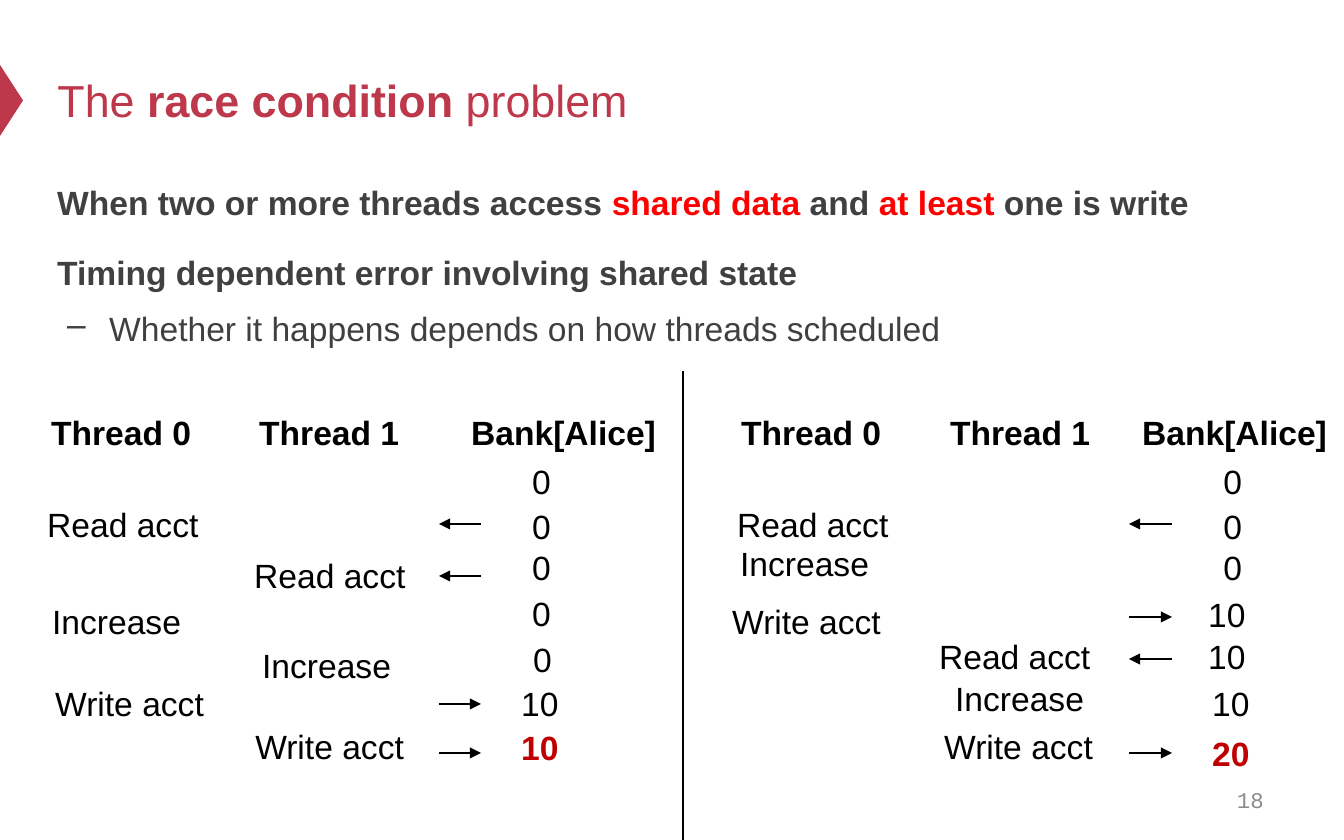
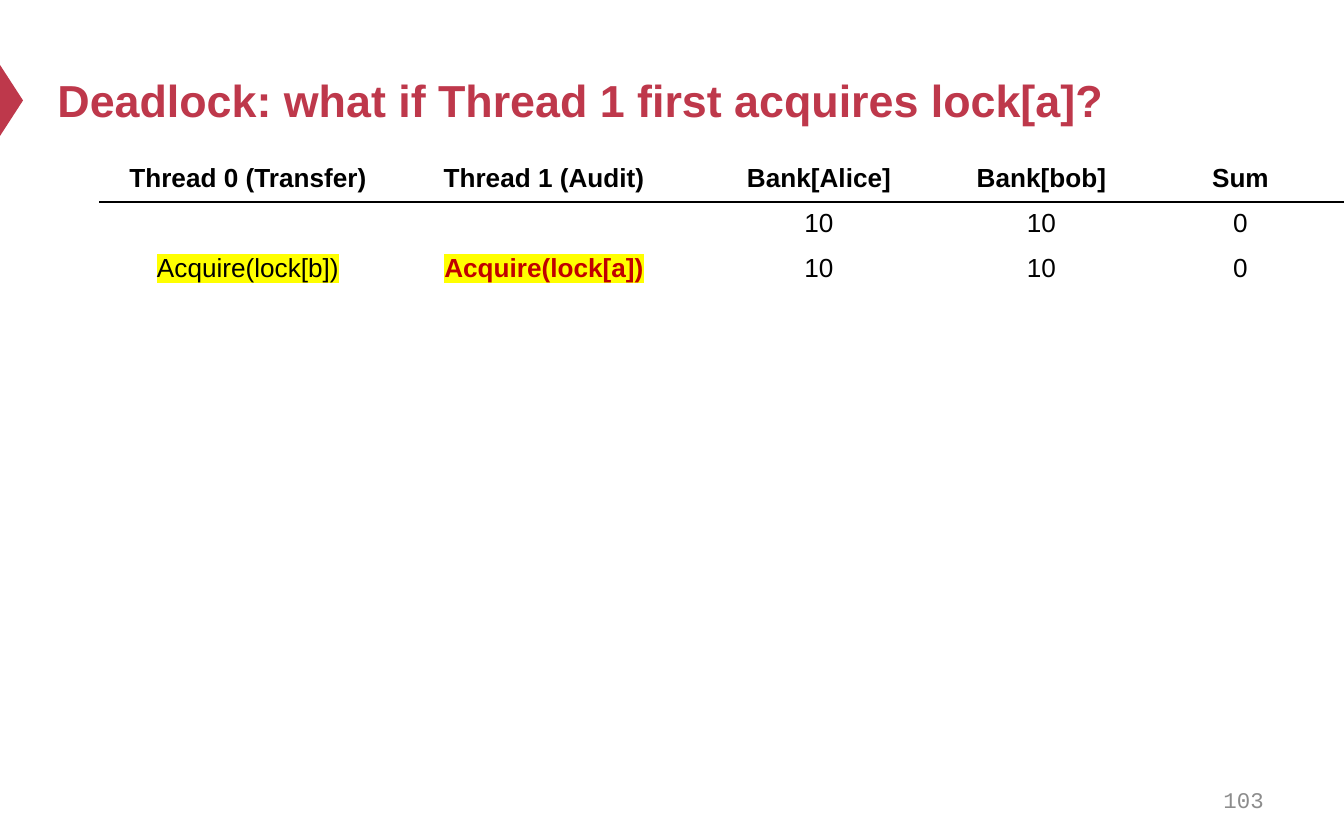
from dataclasses import dataclass

from lxml.etree import SubElement
from pptx import Presentation
from pptx.dml.color import RGBColor
from pptx.enum.shapes import MSO_CONNECTOR as CONN, MSO_SHAPE as SHAPE
from pptx.enum.text import MSO_ANCHOR as ANCHOR, MSO_AUTO_SIZE as FIT, PP_ALIGN as ALIGN
from pptx.oxml.ns import qn
from pptx.util import Emu, Pt


@dataclass(frozen=True)
class Theme:
    accent: str = "BE384B"
    body: str = "404040"
    black: str = "000000"
    white: str = "FFFFFF"
    alert: str = "FF0000"
    result: str = "C00000"
    marker: str = "FFFF00"
    muted: str = "8C8C8C"
    font: str = "Arial"
    mono: str = "Courier New"
    title_size: int = 24
    text_size: int = 18
    table_size: int = 14
    number_size: int = 12


T = Theme()
PX_PER_INCH = 134.4


def px(*lengths):
    return [Emu(round(n * 914400 / PX_PER_INCH)) for n in lengths]


def write(p, text, size=T.text_size, color=T.black, bold=False, font=T.font, highlight=None):
    """Append a formatted run to paragraph p."""
    r = p.add_run()
    r.text = text
    f = r.font
    f.size, f.bold = Pt(size), bold
    f.color.rgb = RGBColor.from_string(color)
    if highlight:
        mark = SubElement(r._r.get_or_add_rPr(), qn("a:highlight"))
        SubElement(mark, qn("a:srgbClr"), val=highlight)
    f.name = font


prs = Presentation()
prs.slide_width, prs.slide_height = px(1344, 840)

# Shared frame: title, side marker and page number
pages = [
    ("18", [("The ", False), ("race condition ", True), ("problem", False)]),
    ("103", [("Deadlock: what if Thread 1 first acquires lock[a]?", True)]),
]
slides = []
for number, title_runs in pages:
    s = prs.slides.add_slide(prs.slide_layouts.get_by_name("Title Only"))
    slides.append(s)

    marker = s.shapes.add_shape(SHAPE.ISOSCELES_TRIANGLE, *px(-24, 89, 71, 23))
    marker.rotation = 90
    marker.shadow.inherit = False
    marker.fill.solid()
    marker.fill.fore_color.rgb = RGBColor.from_string(T.accent)
    marker.line.fill.background()

    title = s.shapes.title
    title.left, title.top, title.width, title.height = px(44, 34, 1210, 132)
    tf = title.text_frame
    tf.auto_size, tf.vertical_anchor = FIT.NONE, ANCHOR.MIDDLE
    p = tf.paragraphs[0]
    p.alignment = ALIGN.LEFT
    for text, bold in title_runs:
        write(p, text, size=T.title_size, color=T.accent, bold=bold)

    tf = s.shapes.add_textbox(*px(964, 778, 313, 44)).text_frame
    tf.word_wrap, tf.vertical_anchor = True, ANCHOR.MIDDLE
    p = tf.paragraphs[0]
    p.alignment = ALIGN.RIGHT
    write(p, number, size=T.number_size, color=T.muted, font=T.mono)

race, deadlock = slides

# Race condition: statement
tf = race.shapes.add_textbox(*px(44, 167, 1210, 254)).text_frame
tf.word_wrap = True
statement = [
    (0, True, [("When two or more threads access ", T.body), ("shared data", T.alert),
               (" and ", T.body), ("at least", T.alert), (" one is write", T.body)]),
    (12, True, [("Timing dependent error involving shared state", T.body)]),
    (4, False, [("Whether it happens depends on how threads scheduled", T.body)]),
]
for i, (before, bold, runs) in enumerate(statement):
    p = tf.add_paragraph() if i else tf.paragraphs[0]
    p.line_spacing, p.space_before = 1.2, Pt(before)
    if not bold:
        margin, indent = px(52, -42)
        pPr = p._p.get_or_add_pPr()
        pPr.set("marL", str(margin))
        pPr.set("indent", str(indent))
        SubElement(pPr, qn("a:buChar"), char="–")
    for text, color in runs:
        write(p, text, color=color, bold=bold)

# Race condition: two schedules, each step as (text, left, top)
label_widths = {"Thread 0": 168, "Thread 1": 168, "Bank[Alice]": 214, "Read acct": 180,
                "Increase": 167, "Write acct": 177, "0": 46, "10": 67, "20": 67}
HEADER_TOP, LABEL_HEIGHT = 405, 54
headers = [("Thread 0", 38), ("Thread 1", 246), ("Bank[Alice]", 458),
           ("Thread 0", 728), ("Thread 1", 937), ("Bank[Alice]", 1129)]
steps = [
    ("Read acct", 34, 497), ("Read acct", 241, 548), ("Increase", 39, 594),
    ("Increase", 249, 638), ("Write acct", 42, 676), ("Write acct", 242, 719),
    ("Read acct", 724, 497), ("Increase", 727, 536), ("Write acct", 719, 594),
    ("Read acct", 926, 629), ("Increase", 942, 671), ("Write acct", 931, 719),
]
balances = [
    ("0", 519, 454), ("0", 519, 499), ("0", 519, 540), ("0", 519, 586),
    ("0", 520, 632), ("10", 508, 676),
    ("0", 1210, 454), ("0", 1210, 499), ("0", 1210, 540),
    ("10", 1195, 587), ("10", 1195, 629), ("10", 1199, 676),
]
final_balances = [("10", 508, 720), ("20", 1199, 726)]
labels = [(text, left, HEADER_TOP, T.black, True) for text, left in headers]
labels += [(*step, T.black, False) for step in steps + balances]
labels += [(*final, T.result, True) for final in final_balances]
for text, left, top, color, bold in labels:
    tf = race.shapes.add_textbox(*px(left, top, label_widths[text], LABEL_HEIGHT)).text_frame
    tf.word_wrap = text.isdigit()
    tf.auto_size = FIT.SHAPE_TO_FIT_TEXT
    write(tf.paragraphs[0], text, color=color, bold=bold)

# Race condition: divider, then arrows running from the balance to the thread
READ, WRITE = "a:tailEnd", "a:headEnd"
lines = [(683, 371, 683, 840, 0.75, None)]
arrows = [
    (481, 439, [(524, READ), (576, READ), (704, WRITE), (753, WRITE)]),
    (1172, 1129, [(524, READ), (617, WRITE), (659, READ), (753, WRITE)]),
]
for right, left, rows in arrows:
    lines += [(right, y, left, y, 1.2, end) for y, end in rows]
for x1, y1, x2, y2, weight, end in lines:
    line = race.shapes.add_connector(CONN.STRAIGHT, *px(x1, y1, x2, y2))
    line.line.width = Pt(weight)
    line.line.color.rgb = RGBColor.from_string(T.black)
    if end:
        SubElement(line.line._get_or_add_ln(), qn(end), type="triangle")
    SubElement(line._element.spPr, qn("a:effectLst"))

# Deadlock: schedule table
ROWS, ROW_HEIGHT = 13, 43
column_widths = [296, 296, 254, 191, 207]
rows = [
    ["Thread 0 (Transfer)", "Thread 1 (Audit)", "Bank[Alice]", "Bank[bob]", "Sum"],
    ["", "", "10", "10", "0"],
    ["Acquire(lock[b])", "Acquire(lock[a])", "10", "10", "0"],
]
rows += [[""] * len(column_widths)] * (ROWS - len(rows))
special = {
    "Acquire(lock[b])": dict(highlight=T.marker),
    "Acquire(lock[a])": dict(highlight=T.marker, color=T.result, bold=True),
}
frame = deadlock.shapes.add_table(ROWS, len(column_widths),
                                  *px(100, 157, sum(column_widths), ROWS * ROW_HEIGHT))
table = frame.table
table.horz_banding = False
for column, width in zip(table.columns, px(*column_widths)):
    column.width = width
for i, values in enumerate(rows):
    table.rows[i].height = px(ROW_HEIGHT)[0]
    for j, text in enumerate(values):
        cell = table.cell(i, j)
        p = cell.text_frame.paragraphs[0]
        p.alignment = ALIGN.CENTER
        if text:
            style = dict(size=T.table_size, bold=i == 0) | special.get(text, {})
            write(p, text, **style)
        else:
            p._p.get_or_add_endParaRPr().set("sz", str(T.table_size * 100))

        tcPr = cell._tc.get_or_add_tcPr()
        for side in ("lnL", "lnR", "lnT", "lnB"):
            under_header = (i, side) in ((0, "lnB"), (1, "lnT"))
            border = SubElement(tcPr, qn(f"a:{side}"), w=str(Pt(1)))
            fill = SubElement(border, qn("a:solidFill"))
            SubElement(fill, qn("a:srgbClr"), val=T.black if under_header else T.white)
        cell.fill.background()

prs.save("out.pptx")
